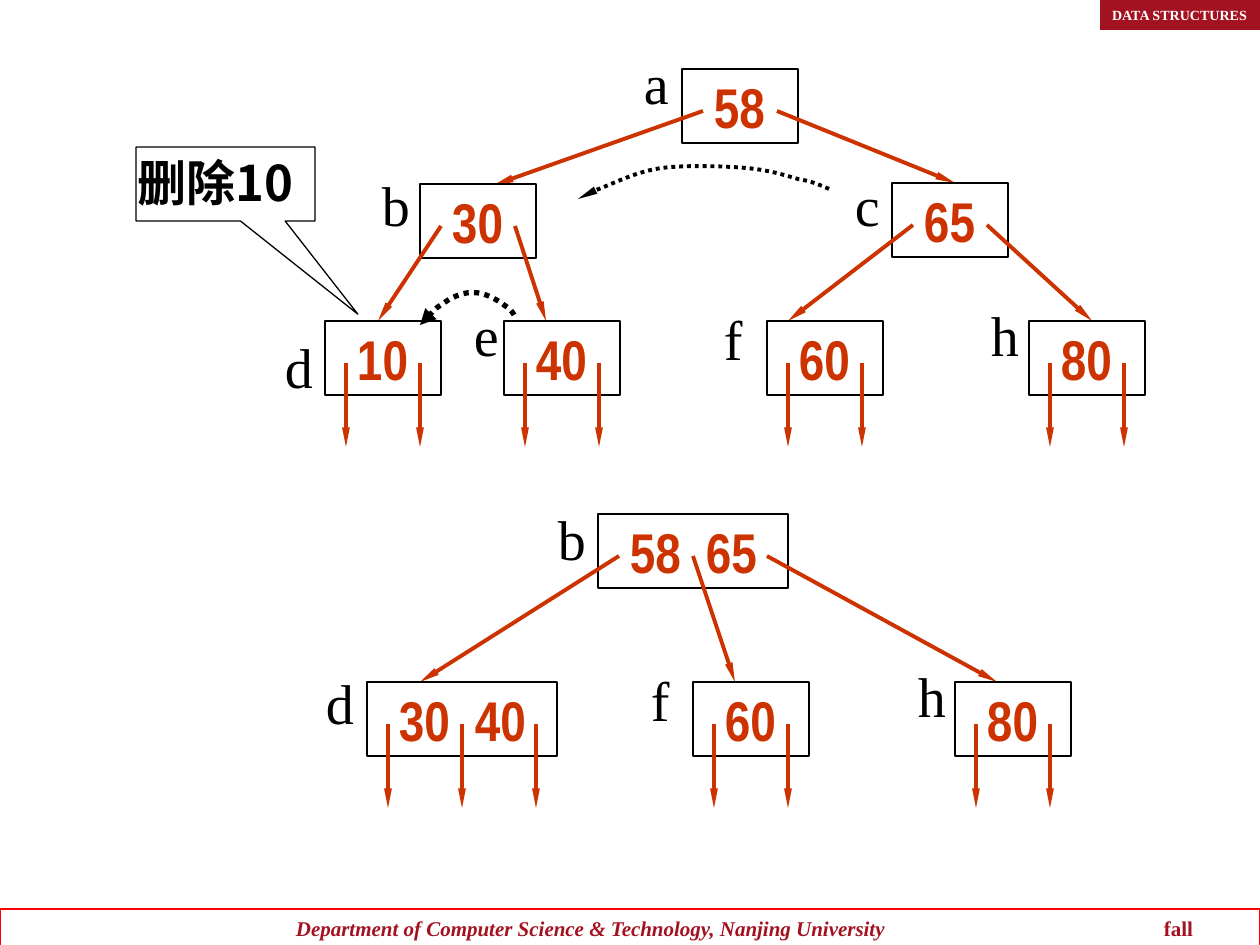
from lxml import etree
from pptx import Presentation
from pptx.dml.color import RGBColor
from pptx.enum.dml import MSO_LINE
from pptx.enum.shapes import MSO_CONNECTOR, MSO_SHAPE
from pptx.enum.text import MSO_ANCHOR, PP_ALIGN
from pptx.oxml.ns import qn
from pptx.util import Inches, Pt

RECT = MSO_SHAPE.RECTANGLE
BUBBLE = MSO_SHAPE.RECTANGULAR_CALLOUT
STRAIGHT = MSO_CONNECTOR.STRAIGHT
TOP = MSO_ANCHOR.TOP
MIDDLE = MSO_ANCHOR.MIDDLE
LEFT = PP_ALIGN.LEFT
DOTS = MSO_LINE.ROUND_DOT
SCALE = Inches(1) / 126
SERIF = "Times New Roman"
NARROW = "Arial Narrow"
CJK = "Noto Sans CJK SC"
BLACK = "000000"
WHITE = "FFFFFF"
RED = "FF0000"
WINE = "A31221"
RUST = "CC3300"
HIGH = 74
STEP = 74
DROP = 126

TREES = [
    (682, 69, ["58"], [(494, 185), (955, 183)]),
    (420, 184, ["30"], [(378, 321), (546, 321)]),
    (892, 183, ["65"], [(788, 321), (1092, 321)]),
    (325, 321, ["10"], []),
    (504, 321, ["40"], []),
    (767, 321, ["60"], []),
    (1029, 321, ["80"], []),
    (598, 514, ["58", "65"], [(420, 682), (735, 682), (997, 682)]),
    (367, 682, ["30", "40"], []),
    (693, 682, ["60"], []),
    (955, 682, ["80"], []),
]
NAMES = [
    ("a", 632, 42), ("b", 370, 164), ("c", 843, 164), ("d", 273, 326),
    ("e", 462, 294), ("f", 712, 299), ("h", 979, 294),
    ("b", 546, 498), ("d", 314, 662), ("f", 639, 659), ("h", 906, 655),
]
LONG = [
    (829, 189), (820, 185), (811, 181), (798, 179),
    (784, 175), (769, 170), (746, 168), (723, 166), (685, 165), (662, 168),
    (638, 171), (612, 184), (599, 189), (585, 194), (581, 199), (578, 199),
]
SHORT = [
    (514, 315), (512, 311), (509, 308), (504, 305),
    (499, 301), (490, 296), (483, 294), (476, 292), (469, 292), (462, 294),
    (455, 296), (449, 299), (441, 305), (433, 310), (423, 323), (420, 325),
]


def px(n):
    return round(n * SCALE)


def color(text):
    return RGBColor.from_string(text)


def box(slide, kind, x, y, w, h, line=None, fill=None):
    shape = slide.shapes.add_shape(kind, px(x), px(y), px(w), px(h))
    shape.shadow.inherit = False
    if fill:
        shape.fill.solid()
        shape.fill.fore_color.rgb = color(fill)
    else:
        shape.fill.background()
    if line:
        shape.line.color.rgb = color(line)
        shape.line.width = Pt(0.75)
    else:
        shape.line.fill.background()
    return shape


def write(shape, text, font, size, ink, bold=True, left=12, tab=0, anchor=MIDDLE):
    frame = shape.text_frame
    frame.text = text
    frame.word_wrap = True
    frame.vertical_anchor = anchor
    frame.margin_left = px(left)
    frame.margin_right = 0
    frame.margin_top = frame.margin_bottom = px(6)
    para = frame.paragraphs[0]
    para.alignment = LEFT
    if tab:
        stops = etree.SubElement(para._p.get_or_add_pPr(), qn("a:tabLst"))
        etree.SubElement(stops, qn("a:tab"), pos=str(px(tab)), algn="l")
    for run in para.runs:
        style(run, font, size, ink, bold)
    return para


def style(run, font, size, ink, bold):
    run.font.name = font
    run.font.size = Pt(size)
    run.font.bold = bold
    run.font.color.rgb = color(ink)
    etree.SubElement(run._r.get_or_add_rPr(), qn("a:ea"), typeface=font)


def label(slide, text, x, y, w=60, font=SERIF, size=32, bold=False):
    shape = slide.shapes.add_textbox(px(x), px(y), px(w), px(80))
    write(shape, text, font, size, BLACK, bold, anchor=TOP)


def tip(line, wide, long):
    etree.SubElement(line._get_or_add_ln(), qn("a:tailEnd"),
                     type="triangle", w=wide, len=long)


def arrow(slide, start, end):
    link = slide.shapes.add_connector(STRAIGHT, *map(px, start + end))
    link.line.color.rgb = color(RUST)
    link.line.width = Pt(2.25)
    tip(link.line, "sm", "lg")
    etree.SubElement(link._element.spPr, qn("a:effectLst"))


def node(slide, x, y, keys, ends):
    wide = 42 + STEP * len(keys)
    shape = box(slide, RECT, x, y, wide, HIGH, BLACK)
    write(shape, "\t".join(keys), NARROW, 32, RUST, left=32, tab=76)
    for i in range(len(keys) + 1):
        start = (x + 21 + STEP * i, y + 42)
        arrow(slide, start, ends[i] if ends else (start[0], y + DROP))


def curve(slide, dots, width, wide, long):
    pen = slide.shapes.build_freeform(*dots[0], scale=SCALE)
    pen.add_line_segments(dots[1:], close=False)
    shape = pen.convert_to_shape()
    shape.shadow.inherit = False
    shape.fill.background()
    shape.line.color.rgb = color(BLACK)
    shape.line.width = Pt(width)
    shape.line.dash_style = DOTS
    tip(shape.line, wide, long)
    path = shape._element.find(".//" + qn("a:path"))
    legs = path.findall(qn("a:lnTo"))
    for i in range(0, len(legs), 3):
        bend = etree.SubElement(path, qn("a:cubicBezTo"))
        for leg in legs[i:i + 3]:
            bend.append(leg[0])
            path.remove(leg)


def frame(slide):
    foot = box(slide, RECT, 0, 909, 1260, 38, RED)
    para = write(foot, "Department of Computer Science & Technology, Nanjing University\t",
                 SERIF, 12, WINE, left=296, tab=868)
    para.runs[0].font.italic = True
    fall = para.add_run()
    fall.text = "fall"
    style(fall, SERIF, 12, WINE, True)
    head = box(slide, RECT, 1100, 0, 160, 30, fill=WINE)
    write(head, "DATA STRUCTURES", SERIF, 8, WHITE)


def main():
    deck = Presentation()
    deck.slide_width, deck.slide_height = px(1260), px(945)
    slide = deck.slides.add_slide(deck.slide_layouts[6])
    frame(slide)
    for item in TREES:
        node(slide, *item)
    for name in NAMES:
        label(slide, *name)
    note = box(slide, BUBBLE, 136, 147, 179, HIGH, BLACK)
    note.adjustments[0] = 0.74
    note.adjustments[1] = 1.76
    label(slide, "删除10", 126, 147, 200, CJK, 28, True)
    curve(slide, LONG, 2.25, "sm", "lg")
    curve(slide, SHORT, 3, "med", "med")
    deck.save("out.pptx")


if __name__ == "__main__":
    main()
